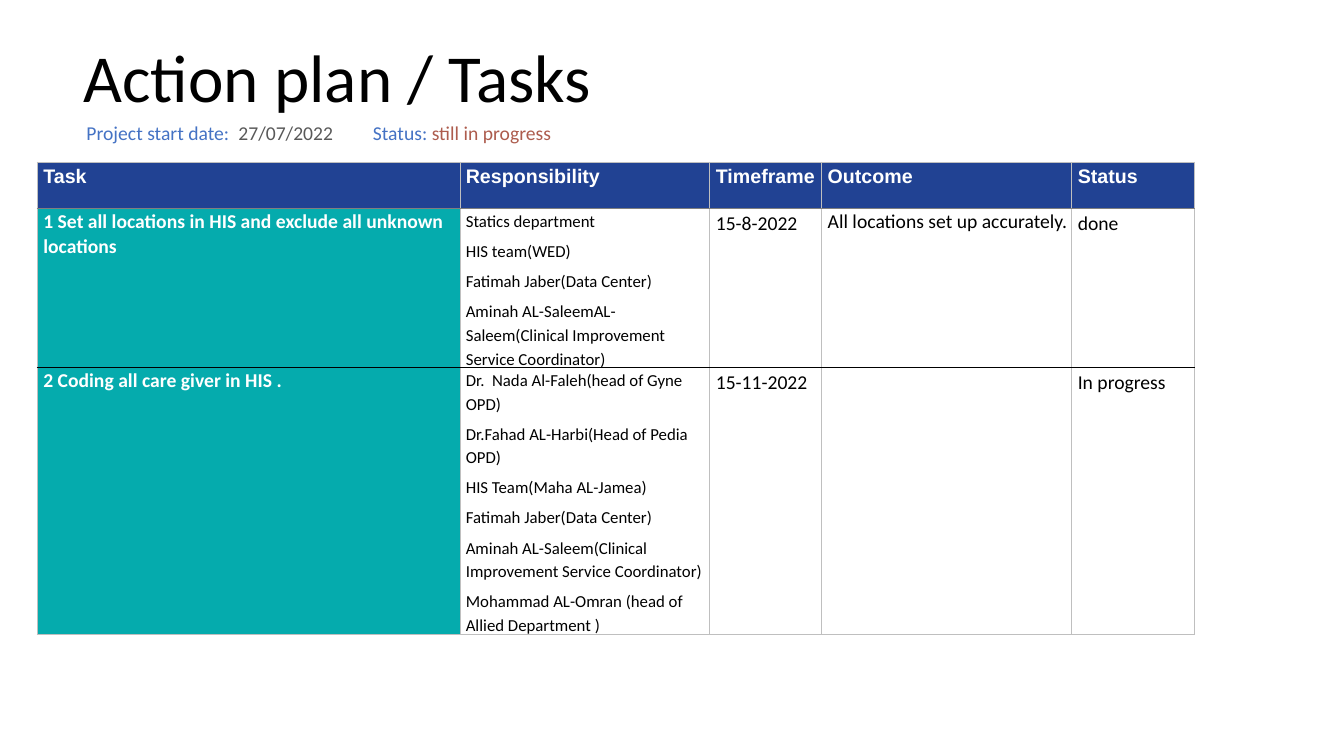
from lxml.etree import SubElement
from pptx import Presentation
from pptx.dml.color import RGBColor
from pptx.enum.text import MSO_ANCHOR as Anchor
from pptx.oxml.ns import qn
from pptx.util import Inches, Pt

BLACK = RGBColor(0x00, 0x00, 0x00)
WHITE = RGBColor(0xFF, 0xFF, 0xFF)
NAVY = RGBColor(0x21, 0x42, 0x93)
TEAL = RGBColor(0x05, 0xAB, 0xAD)
BLUE = RGBColor(0x44, 0x72, 0xC4)
DARK_GREY = RGBColor(0x59, 0x59, 0x59)
RUST = RGBColor(0xAD, 0x5C, 0x4D)
MID_GREY = RGBColor(0x7F, 0x7F, 0x7F)
LIGHT_GREY = RGBColor(0xBF, 0xBF, 0xBF)

COLUMN_WIDTHS = [4.2, 2.47, 1.11, 2.48, 1.22]
ROW_HEIGHTS = [0.46, 1.47, 2.65]
ROW_EDGES = [LIGHT_GREY, MID_GREY, BLACK, LIGHT_GREY]

HEADINGS = ["Task", "Responsibility", "Timeframe", "Outcome", "Status"]
TASKS = [
    [
        ["1 Set all locations in HIS and exclude all unknown locations"],
        [
            "Statics department",
            "HIS team(WED)",
            "Fatimah Jaber(Data Center)",
            "Aminah AL-SaleemAL-Saleem(Clinical Improvement Service Coordinator)",
        ],
        ["15-8-2022"],
        ["All locations set up accurately."],
        ["done"],
    ],
    [
        ["2 Coding all care giver in HIS ."],
        [
            "Dr.  Nada Al-Faleh(head of Gyne OPD)",
            "Dr.Fahad AL-Harbi(Head of Pedia OPD)",
            "HIS Team(Maha AL-Jamea)",
            "Fatimah Jaber(Data Center)",
            "Aminah AL-Saleem(Clinical Improvement Service Coordinator)",
            "Mohammad AL-Omran (head of Allied Department )",
        ],
        ["15-11-2022"],
        [],
        ["In progress"],
    ],
]
TASK_SIZES = [14, 12, 14, 14, 14]
TASK_SPACING = [1.04, 1.15, 1.15, 1.04, 1.15]
TASK_SPACE_BEFORE = [4.7, 4.7, 4.7, 4.7, 3.8]
INDENTS = [0.06, 0.05, 0.06, 0.06, 0.06]


def style_font(font, size, color, name="Calibri", bold=False):
    font.size = Pt(size)
    font.name = name
    font.bold = bold
    font.color.rgb = color


def place(box, left, top, width, height):
    box.left, box.top = Inches(left), Inches(top)
    box.width, box.height = Inches(width), Inches(height)


def add_title(slide, wording):
    title = slide.shapes.title
    place(title, 0.73, 0.23, 9.65, 1.14)
    title.text_frame.vertical_anchor = Anchor.MIDDLE
    heading = title.text_frame.paragraphs[0]
    heading.text = wording
    heading.line_spacing = 0.9
    heading.alignment = 1
    style_font(heading.font, 48, BLACK)


def add_project_line(slide, pieces, tab):
    box = slide.shapes.add_textbox(
        Inches(0.76), Inches(1.16), Inches(9.97), Inches(0.32))
    box.text_frame.word_wrap = True
    box.text_frame.vertical_anchor = Anchor.MIDDLE
    line = box.text_frame.paragraphs[0]
    stops = SubElement(line._p.get_or_add_pPr(), qn("a:tabLst"))
    SubElement(stops, qn("a:tab"), pos=str(Inches(tab)), algn="l")
    line.font.size = Pt(14)
    line.font.name = "Calibri"
    for wording, color in pieces:
        run = line.add_run()
        run.text = wording
        run.font.color.rgb = color


def set_borders(cell, top, bottom):
    properties = cell._tc.get_or_add_tcPr()
    edges = {"a:lnL": LIGHT_GREY, "a:lnR": LIGHT_GREY,
             "a:lnT": top, "a:lnB": bottom}
    for tag, color in edges.items():
        edge = SubElement(properties, qn(tag), w=str(Pt(1)))
        paint = SubElement(edge, qn("a:solidFill"))
        SubElement(paint, qn("a:srgbClr"), val=str(color))


def format_cell(cell, row, fill):
    cell.margin_left = cell.margin_right = 0
    cell.margin_top = cell.margin_bottom = 0
    set_borders(cell, ROW_EDGES[row], ROW_EDGES[row + 1])
    if fill is None:
        cell.fill.background()
    else:
        cell.fill.solid()
        cell.fill.fore_color.rgb = fill


def write_cell(cell, lines, indent, spacing, before, **font):
    frame = cell.text_frame
    for number, wording in enumerate(lines):
        line = frame.add_paragraph() if number else frame.paragraphs[0]
        line.text = wording
        line.line_spacing = spacing
        line.space_before = Pt(before)
        line._p.get_or_add_pPr().set("marL", str(Inches(indent)))
        style_font(line.font, **font)


def add_task_table(slide):
    table = slide.shapes.add_table(
        len(ROW_HEIGHTS), len(COLUMN_WIDTHS), Inches(0.37), Inches(1.61),
        Inches(sum(COLUMN_WIDTHS)), Inches(sum(ROW_HEIGHTS))).table
    table.first_row = table.horz_banding = False
    for column, width in zip(table.columns, COLUMN_WIDTHS):
        column.width = Inches(width)
    for row, height in zip(table.rows, ROW_HEIGHTS):
        row.height = Inches(height)

    for column, heading in enumerate(HEADINGS):
        cell = table.cell(0, column)
        format_cell(cell, 0, NAVY)
        write_cell(cell, [heading], INDENTS[column], 1.15, 3.6,
                   size=14, color=WHITE, name="Arial", bold=True)

    for row, task in enumerate(TASKS, start=1):
        for column, lines in enumerate(task):
            cell = table.cell(row, column)
            is_task = column == 0
            format_cell(cell, row, TEAL if is_task else None)
            write_cell(cell, lines, INDENTS[column], TASK_SPACING[column],
                       TASK_SPACE_BEFORE[column], size=TASK_SIZES[column],
                       color=WHITE if is_task else BLACK, bold=is_task)


def main():
    deck = Presentation()
    deck.slide_width, deck.slide_height = Inches(13.33), Inches(7.5)
    slide = deck.slides.add_slide(deck.slide_layouts[5])
    add_title(slide, "Action plan / Tasks")
    add_project_line(slide, [
        ("Project start date:  ", BLUE),
        ("27/07/2022", DARK_GREY),
        ("\tStatus: ", BLUE),
        ("still in progress", RUST),
    ], tab=2.84)
    add_task_table(slide)
    deck.save("out.pptx")


if __name__ == "__main__":
    main()
